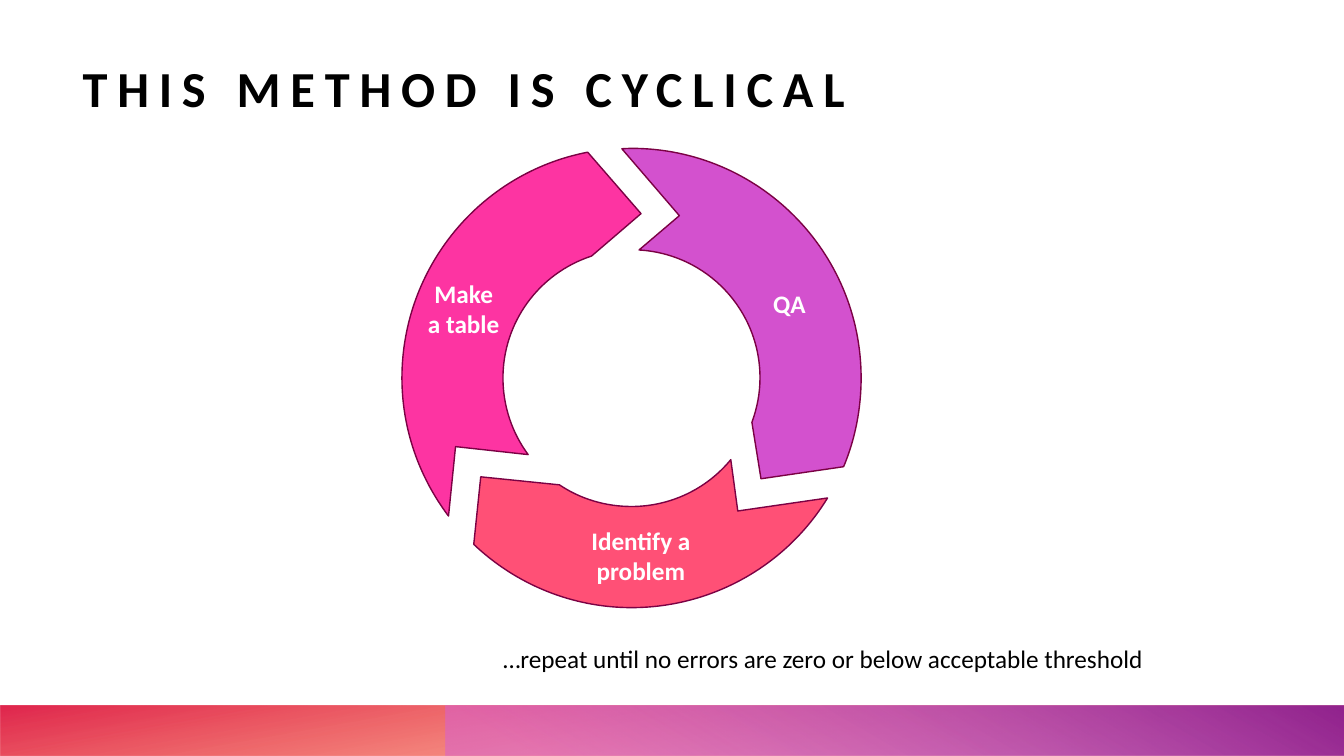
from math import atan2, ceil, cos, floor, pi, sin, tan

from lxml.etree import SubElement
from pptx import Presentation
from pptx.dml.color import RGBColor
from pptx.enum.shapes import MSO_SHAPE
from pptx.enum.text import MSO_ANCHOR, PP_ALIGN
from pptx.oxml.ns import qn
from pptx.util import Pt

FONT = "Calibri"
TITLE = "THIS METHOD IS CYCLICAL"
CENTER = (451.1, 270)
OUTER_RADIUS, INNER_RADIUS = 164, 91.8
OUTLINE = "7B0144"

STAGES = [
    ("D351CE", {"outer": [(444.2, 106.3), (602.6, 333.4)], "tip": (543.6, 342),
                "inner": [(537.1, 301.7), (456.5, 178.6)], "notch": (485.3, 154.1)}),
    ("FD34A2", {"outer": [(320.4, 368.6), (419.8, 108.7)], "tip": (457.9, 152.6),
                "inner": [(422.6, 182.9), (377.3, 324.7)], "notch": (325.4, 319)}),
    ("FF5076", {"outer": [(591.1, 355.7), (338.4, 388.8)], "tip": (343.4, 340.6),
                "inner": [(399.6, 346.3), (522, 328.3)], "notch": (527, 365)}),
]
LABELS = [
    ("Make a table", (297, 195.1, 68.4, 50.9)),
    ("QA", (529.6, 202.3, 68.4, 29)),
    ("Identify a problem", (393, 371.8, 129.6, 50.9)),
]
CAPTION = ("…repeat until no errors are zero or below acceptable threshold", (352.3, 456, 525.6, 29))
FOOTER_BARS = [
    ((0, 504, 960, 36), 180, 100, [(0.14, "FE4A00", 28), (1, "DA002F", 85)]),
    ((318, 504, 642, 36), 0, 240, [(0.09, "D861D4", 55), (0.99, "92248E", 100)]),
]


def color(hex_text):
    return RGBColor.from_string(hex_text)


def box_lengths(box):
    return [Pt(value) for value in box]


def add_text(paragraph, text, size, hex_text, bold):
    run = paragraph.add_run()
    run.text = text
    run.font.name = FONT
    run.font.size = Pt(size)
    run.font.bold = bold
    run.font.color.rgb = color(hex_text)
    return run


def add_text_box(slide, text, box, hex_text, bold, alignment, wrap):
    frame = slide.shapes.add_textbox(*box_lengths(box)).text_frame
    frame.word_wrap = wrap
    paragraph = frame.paragraphs[0]
    paragraph.alignment = alignment
    add_text(paragraph, text, 18, hex_text, bold)


def add_footer_bar(slide, box, rotation, angle, stops):
    shape = slide.shapes.add_shape(MSO_SHAPE.RECTANGLE, *box_lengths(box))
    shape.shadow.inherit = False
    shape.line.fill.background()
    shape.rotation = rotation
    shape._element.spPr.find(qn("a:xfrm")).set("flipH", "1")
    shape.fill.gradient()
    shape.fill.gradient_angle = 360 - angle
    for stop, (position, hex_text, opacity) in zip(shape.fill.gradient_stops, stops):
        stop.position = position
        stop.color.rgb = color(hex_text)
    color_elements = list(shape._element.spPr.iter(qn("a:srgbClr")))
    for element, (position, hex_text, opacity) in zip(color_elements, stops):
        if opacity < 100:
            SubElement(element, qn("a:alpha")).set("val", str(opacity * 1000))


def arc_curves(start, end, radius, direction):
    first, last = [atan2(y - CENTER[1], x - CENTER[0]) for x, y in (start, end)]
    last = first + direction * ((last - first) * direction % (2 * pi))
    low, high = sorted((first, last))
    quarters = [step * pi / 2 for step in range(ceil(low / (pi / 2)), floor(high / (pi / 2)) + 1)]
    angles = [first, *quarters[::direction], last]
    points = [(CENTER[0] + radius * cos(angle), CENTER[1] + radius * sin(angle)) for angle in angles]
    points[0], points[-1] = start, end
    curves = []
    for index in range(len(angles) - 1):
        before, after = angles[index:index + 2]
        reach = radius * 4 / 3 * tan((after - before) / 4)
        (x1, y1), (x2, y2) = points[index:index + 2]
        curves.append([
            (x1 - reach * sin(before), y1 + reach * cos(before)),
            (x2 + reach * sin(after), y2 - reach * cos(after)),
            (x2, y2),
        ])
    return curves


def add_stage(slide, hex_text, corners):
    start = corners["outer"][0]
    segments = [
        *arc_curves(*corners["outer"], OUTER_RADIUS, 1),
        [corners["tip"]],
        [corners["inner"][0]],
        *arc_curves(*corners["inner"], INNER_RADIUS, -1),
        [corners["notch"]],
    ]
    builder = slide.shapes.build_freeform(*box_lengths(start))
    builder.add_line_segments([box_lengths(segment[-1]) for segment in segments], close=True)
    shape = builder.convert_to_shape()
    lines = list(shape._element.spPr.iter(qn("a:lnTo")))
    for line, segment in zip(lines, segments):
        if len(segment) == 3:
            line.tag = qn("a:cubicBezTo")
            line.remove(line[0])
            for x, y in segment:
                point = SubElement(line, qn("a:pt"))
                point.set("x", str(Pt(x) - shape.left))
                point.set("y", str(Pt(y) - shape.top))
    shape.shadow.inherit = False
    shape.fill.solid()
    shape.fill.fore_color.rgb = color(hex_text)
    shape.line.color.rgb = color(OUTLINE)
    shape.line.width = Pt(1)


def add_title(slide):
    title = slide.shapes.title
    title.left, title.top, title.width, title.height = box_lengths((59, 13, 806.4, 71))
    frame = title.text_frame
    frame.margin_left = frame.margin_top = frame.margin_right = frame.margin_bottom = 0
    frame.vertical_anchor = MSO_ANCHOR.BOTTOM
    frame.word_wrap = True
    paragraph = frame.paragraphs[0]
    paragraph.alignment = PP_ALIGN.LEFT
    run = add_text(paragraph, TITLE, 36, "000000", True)
    run.font._element.set("spc", "700")


def main():
    presentation = Presentation()
    presentation.slide_width, presentation.slide_height = Pt(960), Pt(540)
    slide = presentation.slides.add_slide(presentation.slide_layouts[5])
    add_title(slide)
    for bar in FOOTER_BARS:
        add_footer_bar(slide, *bar)
    for hex_text, corners in STAGES:
        add_stage(slide, hex_text, corners)
    for text, box in LABELS:
        add_text_box(slide, text, box, "FFFFFF", True, PP_ALIGN.CENTER, True)
    add_text_box(slide, *CAPTION, "000000", False, PP_ALIGN.LEFT, False)
    presentation.save("out.pptx")


if __name__ == "__main__":
    main()
